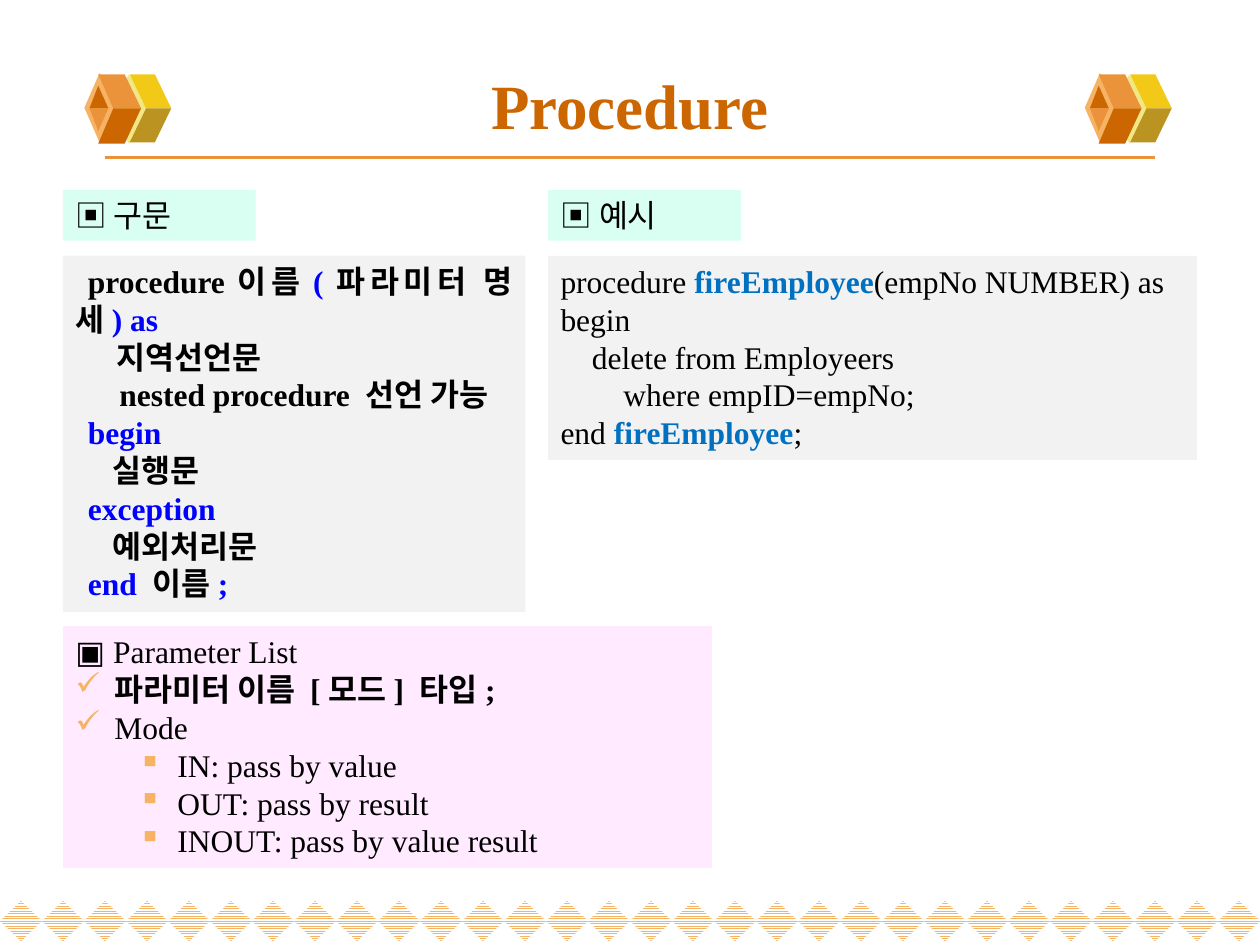
from dataclasses import dataclass

from lxml.etree import SubElement
from pptx import Presentation
from pptx.dml.color import RGBColor as RGB
from pptx.enum.dml import MSO_PATTERN
from pptx.enum.shapes import MSO_CONNECTOR, MSO_SHAPE as SHAPE
from pptx.enum.text import MSO_ANCHOR, PP_ALIGN
from pptx.oxml.ns import qn
from pptx.util import Inches, Pt


@dataclass(frozen=True)
class Theme:
    latin: str = "Times New Roman"
    korean: str = "Noto Sans CJK KR"
    title_size: float = 36
    body_size: float = 18
    gap_size: float = 10.5
    line_pitch: float = 21.6
    black: str = "000000"
    keyword: str = "0000FF"
    name: str = "0070C0"
    white: str = "FFFFFF"
    rust: str = "CC6600"
    orange: str = "EB933B"
    apricot: str = "F5B363"
    cream: str = "F1E785"
    yellow: str = "F3C917"
    olive: str = "BB9321"
    mint: str = "B3FFE6"
    grey: str = "F2F2F2"
    pink: str = "FFCCFF"


THEME = Theme()


def paint(shape, color, opacity=100):
    shape.shadow.inherit = False
    shape.line.fill.background()
    shape.fill.solid()
    shape.fill.fore_color.rgb = RGB.from_string(color)
    if opacity < 100:
        tint = shape._element.spPr.find(qn("a:solidFill"))[0]
        SubElement(tint, qn("a:alpha"), val=str(opacity * 1000))


def style(paragraph, size, color, bold, latin=THEME.latin):
    font = paragraph.font
    font.size, font.bold, font.name = Pt(size), bold, latin
    font.color.rgb = RGB.from_string(color)
    defaults = paragraph._p.pPr.find(qn("a:defRPr"))
    SubElement(defaults, qn("a:ea"), typeface=THEME.korean)


def set_indent(paragraph, left, first, bullet=None):
    props = paragraph._p.get_or_add_pPr()
    props.set("marL", str(Inches(left)))
    props.set("indent", str(Inches(first)))
    if bullet:
        tint = SubElement(props, qn("a:buClr"))
        SubElement(tint, qn("a:srgbClr"), val=THEME.apricot)
        SubElement(props, qn("a:buChar"), char=bullet)


def add_panel(slide, box, color, opacity=100):
    panel = slide.shapes.add_shape(SHAPE.RECTANGLE, *map(Inches, box))
    paint(panel, color, opacity)
    panel.text_frame.word_wrap = True
    panel.text_frame.vertical_anchor = MSO_ANCHOR.TOP
    return panel.text_frame


def add_line(frame, index, align=PP_ALIGN.LEFT):
    line = frame.add_paragraph() if index else frame.paragraphs[0]
    line.alignment = align
    line.line_spacing = Pt(THEME.line_pitch)
    return line


def add_run(line, text, color=None, bold=None, size=None):
    run = line.add_run()
    run.text = text
    if color:
        run.font.color.rgb = RGB.from_string(color)
    if bold is not None:
        run.font.bold = bold
    if size:
        run.font.size = Pt(size)


def draw_border(slide, box, count):
    left, top, width, height = box
    step = width / count
    for column in range(count):
        diamond = slide.shapes.add_shape(
            SHAPE.DIAMOND, Inches(left + column * step), Inches(top),
            Inches(step), Inches(height))
        paint(diamond, THEME.white)
        diamond.fill.patterned()
        diamond.fill.pattern = MSO_PATTERN.NARROW_HORIZONTAL
        diamond.fill.fore_color.rgb = RGB.from_string(THEME.apricot)
        diamond.fill.back_color.rgb = RGB.from_string(THEME.white)


def draw_cube(slide, left, top):
    def diamond(x, y, width, color):
        shape = slide.shapes.add_shape(
            SHAPE.DIAMOND, Inches(left + x), Inches(top + y),
            Inches(width), Inches(0.55))
        paint(shape, color)

    def facet(points, color):
        corners = [(Inches(left + x), Inches(top + y)) for x, y in points]
        builder = slide.shapes.build_freeform(*corners[0])
        builder.add_line_segments(corners[1:], close=True)
        paint(builder.convert_to_shape(), color)

    def wing(x, inner, outer, end, edge, color):
        facet([(x + inner, 0.28), (x + end, 0.28), (x + outer, edge), (x, edge)], color)

    diamond(0.19, 0.01, 0.33, THEME.cream)
    wing(0.36, 0.13, 0.20, 0.33, 0.01, THEME.yellow)
    wing(0.36, 0.13, 0.20, 0.33, 0.55, THEME.olive)
    diamond(0, 0, 0.24, THEME.apricot)
    wing(0.11, 0.12, 0.21, 0.34, 0.01, THEME.orange)
    wing(0.11, 0.12, 0.21, 0.34, 0.56, THEME.rust)
    for tip, color in ((0.10, THEME.rust), (0.46, THEME.orange)):
        facet([(0.11, tip), (0.04, 0.28), (0.19, 0.28)], color)


def draw_header(slide, box, title):
    left, top, width, height = box
    rule = slide.shapes.add_connector(
        MSO_CONNECTOR.STRAIGHT, Inches(left + 0.33), Inches(top + 0.8),
        Inches(left + width - 0.33), Inches(top + 0.8))
    rule.line.color.rgb = RGB.from_string(THEME.orange)
    rule.line.width = Pt(2.25)
    SubElement(rule._element.spPr, qn("a:effectLst"))
    for offset in (0.17, 8.11):
        draw_cube(slide, left + offset, top + 0.13)
    frame = slide.shapes.add_textbox(*map(Inches, box)).text_frame
    frame.word_wrap = True
    frame.vertical_anchor = MSO_ANCHOR.MIDDLE
    heading = frame.paragraphs[0]
    heading.text = title
    heading.alignment = PP_ALIGN.CENTER
    style(heading, THEME.title_size, THEME.rust, True)


def draw_tag(slide, box, text):
    line = add_line(add_panel(slide, box, THEME.mint, 50), 0)
    line.text = text
    style(line, THEME.body_size, THEME.black, False, THEME.korean)


def draw_code(slide, box, lines, bold=False, align=PP_ALIGN.LEFT, first=0):
    frame = add_panel(slide, box, THEME.grey)
    for index, parts in enumerate(lines):
        line = add_line(frame, index, align)
        set_indent(line, 0, first)
        style(line, THEME.body_size, THEME.black, bold)
        for part in parts:
            add_run(line, *part)


def draw_parameters(slide, box, heading, items):
    frame = add_panel(slide, box, THEME.pink, 40)
    for index, (text, level, bold) in enumerate([(heading, None, False)] + items):
        line = add_line(frame, index)
        line.text = text
        if level is not None:
            line.level = level
            set_indent(line, 0.31 + level * 0.5, -0.31, "✓▪"[level])
        style(line, THEME.body_size, THEME.black, bold)


def main():
    deck = Presentation()
    deck.slide_width, deck.slide_height = Inches(10), Inches(7.5)
    slide = deck.slides.add_slide(deck.slide_layouts[6])
    left, right = 0.5, 4.35
    keyword, gap = THEME.keyword, ("      ", None, False, THEME.gap_size)
    name = ("fireEmployee", THEME.name, True)

    draw_border(slide, (0, 7.15, 10, 0.32), 30)
    draw_header(slide, (left, 0.45, 9, 0.76), "Procedure")
    draw_tag(slide, (left, 1.51, 1.53, 0.4), "▣ 구문")
    draw_tag(slide, (right, 1.51, 1.53, 0.4), "▣ 예시")
    draw_code(slide, (left, 2.03, 3.67, 2.83), [
        [("procedure이름",), ("(", keyword), ("파라미터 명세",), (") as", keyword)],
        [("    지역선언문",)],
        [("    nested procedure 선언 가능",)],
        [("begin", keyword)],
        [gap, ("실행문",)],
        [("exception", keyword)],
        [gap, ("예외처리문",)],
        [("end ", keyword), ("이름",), (";", keyword)],
    ], bold=True, align=PP_ALIGN.JUSTIFY, first=0.1)
    draw_code(slide, (right, 2.03, 5.15, 1.62), [
        [("procedure ",), name, ("(empNo NUMBER) as",)],
        [("begin",)],
        [("    delete from Employeers",)],
        [("        where empID=empNo;",)],
        [("end ",), name, (";",)],
    ])
    draw_parameters(slide, (left, 4.97, 5.15, 1.92), "▣ Parameter List", [
        ("파라미터 이름 [모드] 타입;", 0, True),
        ("Mode", 0, False),
        ("IN: pass by value", 1, False),
        ("OUT: pass by result", 1, False),
        ("INOUT: pass by value result", 1, False),
    ])
    deck.save("out.pptx")


if __name__ == "__main__":
    main()
